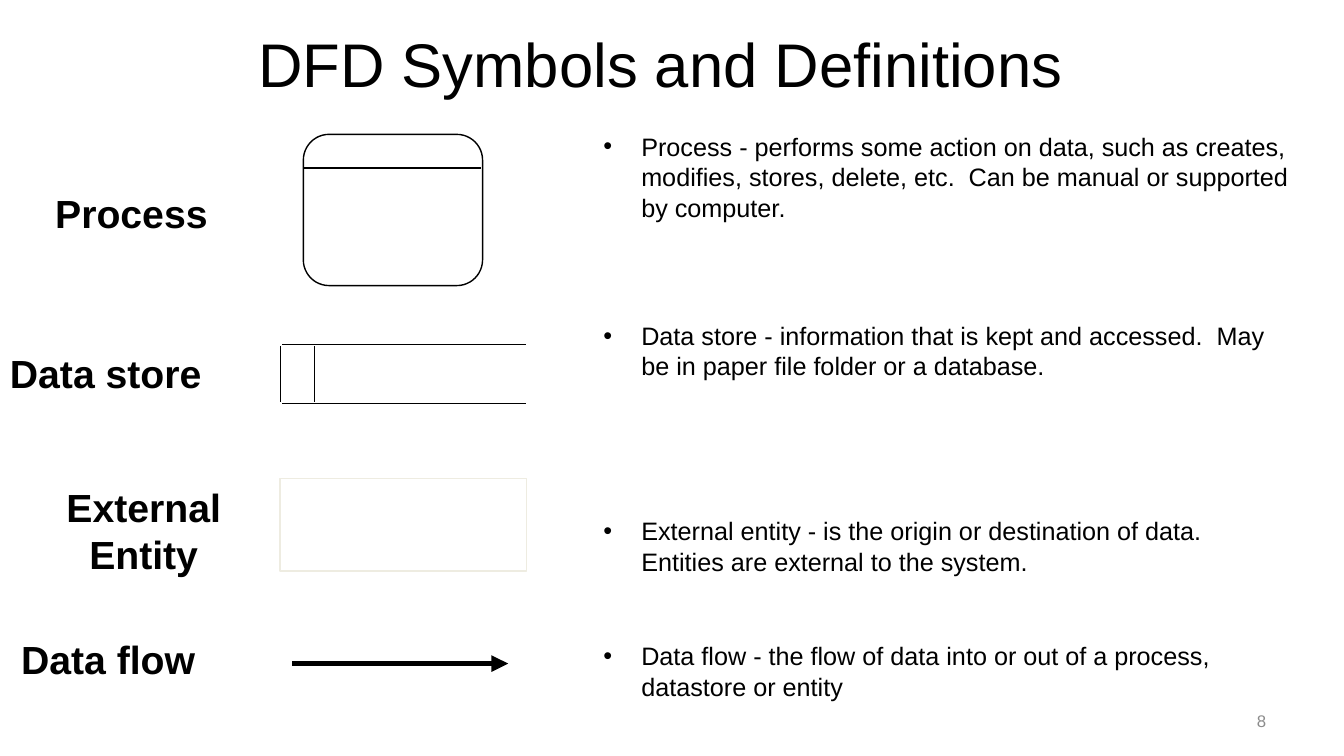
from lxml.etree import SubElement
from pptx import Presentation
from pptx.dml.color import RGBColor
from pptx.enum.shapes import MSO_CONNECTOR, MSO_SHAPE
from pptx.enum.text import MSO_ANCHOR, MSO_AUTO_SIZE, PP_ALIGN
from pptx.oxml.ns import qn
from pptx.util import Pt

COLORS = {"ink": "000000", "entity": "EEECE1", "number": "8C8C8C"}
LABELS = [
    (["Process"], 32.4, 132, 124.6, 41),
    (["Data store"], 0, 246, 152.6, 41),
    (["External", "Entity"], 39.6, 342, 126, 75),
    (["Data flow"], 8, 450, 140.4, 41),
]
DEFINITIONS = [
    (0, "Process - performs some action on data, such as creates, modifies, stores, "
        "delete, etc.  Can be manual or supported by computer."),
    (70, "Data store - information that is kept and accessed.  May be in paper file "
         "folder or a database."),
    (96, "External entity - is the origin or destination of data.  Entities are "
         "external to the system."),
    (46, "Data flow - the flow of data into or out of a process, datastore or entity"),
]


class SlideBuilder:
    """Holds the text style and the slide being built."""

    font = "Arial"

    def __init__(self, page):
        """Keep the page to draw on."""
        self.page = page

    def add_span(self, para, text, size, color="ink", bold=False, align=PP_ALIGN.LEFT):
        """Add one styled run to a paragraph."""
        para.alignment = align
        span = para.add_run()
        span.text = text
        span.font.name = self.font
        span.font.size = Pt(size)
        span.font.bold = bold
        span.font.color.rgb = RGBColor.from_string(COLORS[color])

    def title(self, text, left, top, width, height):
        """Place and fill the title placeholder."""
        box = self.page.shapes.title
        box.left, box.top, box.width, box.height = map(Pt, (left, top, width, height))
        box.text_frame.vertical_anchor = MSO_ANCHOR.MIDDLE
        self.add_span(box.text_frame.paragraphs[0], text, 44, align=PP_ALIGN.CENTER)

    def text_frame(self, left, top, width, height):
        """Add a wrapping text box and return its frame."""
        box = self.page.shapes.add_textbox(*map(Pt, (left, top, width, height)))
        box.text_frame.word_wrap = True
        return box.text_frame

    def label(self, lines, *place):
        """Add a bold symbol name, one paragraph per line."""
        frame = self.text_frame(*place)
        frame.word_wrap = False
        frame.auto_size = MSO_AUTO_SIZE.SHAPE_TO_FIT_TEXT
        align = PP_ALIGN.CENTER if len(lines) > 1 else PP_ALIGN.LEFT
        for index, line in enumerate(lines):
            para = frame.add_paragraph() if index else frame.paragraphs[0]
            self.add_span(para, line, 28, bold=True, align=align)

    def bullets(self, items, *place):
        """Add bulleted paragraphs, each with its space before."""
        frame = self.text_frame(*place)
        for index, (gap, text) in enumerate(items):
            para = frame.add_paragraph() if index else frame.paragraphs[0]
            para.line_spacing = Pt(21.7)
            para.space_before = Pt(gap)
            props = para._p.get_or_add_pPr()
            props.set("marL", str(Pt(27)))
            props.set("indent", str(-Pt(27)))
            SubElement(props, qn("a:buFont"), typeface=self.font)
            SubElement(props, qn("a:buChar"), char="•")
            self.add_span(para, text, 18)

    def page_number(self, text, *place):
        """Add the right-aligned slide number."""
        frame = self.text_frame(*place)
        frame.vertical_anchor = MSO_ANCHOR.MIDDLE
        self.add_span(frame.paragraphs[0], text, 12, "number", align=PP_ALIGN.RIGHT)

    def group(self):
        """Add an empty group and return its shapes."""
        return self.page.shapes.add_group_shape().shapes

    def outline(self, shapes, kind, left, top, width, height, color="ink"):
        """Add an unfilled preset shape."""
        shape = shapes.add_shape(kind, *map(Pt, (left, top, width, height)))
        shape.shadow.inherit = False
        shape.fill.background()
        shape.line.color.rgb = RGBColor.from_string(COLORS[color])
        shape.line.width = Pt(1)
        return shape

    def line(self, shapes, x1, y1, x2, y2, width=1, arrow=False):
        """Add a straight line, with an arrowhead at its end if asked."""
        line = shapes.add_connector(MSO_CONNECTOR.STRAIGHT, *map(Pt, (x1, y1, x2, y2)))
        line.line.color.rgb = RGBColor.from_string(COLORS["ink"])
        line.line.width = Pt(width)
        props = line._element.spPr
        if arrow:
            SubElement(props.find(qn("a:ln")), qn("a:tailEnd"), type="triangle")
        SubElement(props, qn("a:effectLst"))


def main():
    """Build and save the slide."""
    deck = Presentation()
    deck.slide_width, deck.slide_height = Pt(960), Pt(540)
    page = deck.slides.add_slide(deck.slide_layouts[5])
    builder = SlideBuilder(page)
    builder.title("DFD Symbols and Definitions", 64, 0, 816, 90)

    builder.outline(page.shapes, MSO_SHAPE.RECTANGLE, 200, 342, 176, 66, "entity")
    builder.line(page.shapes, 208.8, 474, 363, 474, width=4, arrow=True)
    for lines, *place in LABELS:
        builder.label(lines, *place)

    process = builder.group()
    body = builder.outline(process, MSO_SHAPE.ROUNDED_RECTANGLE, 216.7, 96, 128, 108)
    body.adjustments[0] = 0.17
    builder.line(process, 217.4, 120, 343.4, 120)

    store = builder.group()
    for y in (246, 288):
        builder.line(store, 201.6, y, 375.8, y)
    for x in (200.2, 224.6):
        builder.line(store, x, 247, x, 287.3)

    builder.bullets(DEFINITIONS, 424, 90, 504, 372)
    builder.page_number("8", 687.6, 500.4, 224, 28.8)
    deck.save("out.pptx")


if __name__ == "__main__":
    main()
